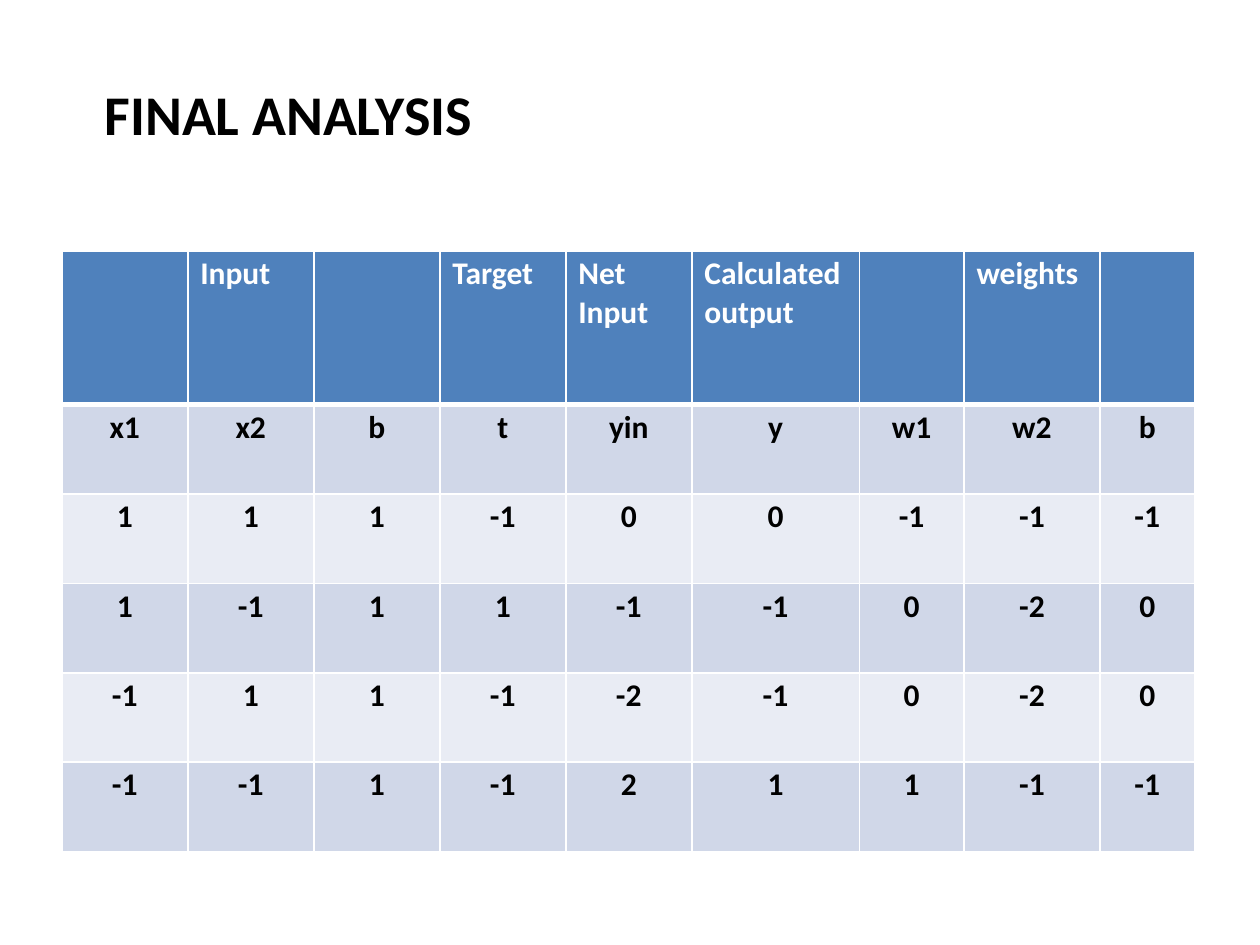
from lxml.etree import SubElement as Sub
from pptx import Presentation
from pptx.dml.color import RGBColor as RGB
from pptx.enum.text import MSO_ANCHOR as Anchor, PP_ALIGN as Align
from pptx.oxml.ns import qn
from pptx.util import Inches, Pt

BLACK = RGB(0x00, 0x00, 0x00)
WHITE = RGB(0xFF, 0xFF, 0xFF)
BLUE = RGB(0x4F, 0x81, 0xBC)
DARK = RGB(0xD0, 0xD7, 0xE8)
LIGHT = RGB(0xE9, 0xEC, 0xF4)

WIDTHS = [1, 1, 1, 1, 1, 1.33, 0.83, 1.08, 0.75]
HEIGHTS = [1.22] + [0.71] * 5
HEAD = ["", "Input", "", "Target", "Net\nInput", "Calculated\noutput", "", "weights", ""]
BODY = [
    ["x1", "x2", "b", "t", "yin", "y", "w1", "w2", "b"],
    [1, 1, 1, -1, 0, 0, -1, -1, -1],
    [1, -1, 1, 1, -1, -1, 0, -2, 0],
    [-1, 1, 1, -1, -2, -1, 0, -2, 0],
    [-1, -1, 1, -1, 2, 1, 1, -1, -1],
]


class Deck:
    """Holds the text style and the current slide, and adds elements to it."""

    def __init__(self, font):
        self.font = font
        self.prs = Presentation()
        self.prs.slide_width, self.prs.slide_height = Inches(10), Inches(7.5)
        self.slide = self.prs.slides.add_slide(self.prs.slide_layouts[5])

    def style(self, par, size, color, align, before):
        par.alignment, par.space_before = align, Pt(before)
        font = par.font
        font.name, font.size, font.bold = self.font, Pt(size), True
        font.color.rgb = color

    def title(self, text, left, top, width, height):
        box = self.slide.shapes.title
        box.left, box.top = Inches(left), Inches(top)
        box.width, box.height = Inches(width), Inches(height)
        frame = box.text_frame
        frame.text = text
        frame.vertical_anchor = Anchor.TOP
        frame.margin_left = frame.margin_right = frame.margin_bottom = 0
        frame.margin_top = Inches(0.01)
        self.style(frame.paragraphs[0], 32, BLACK, Align.LEFT, 1.1)

    def border(self, cell, **lines):
        props = cell._tc.get_or_add_tcPr()
        for side in "LRTB":
            line = Sub(props, qn("a:ln" + side), w=str(Pt(lines.get(side, 1))))
            fill = Sub(line, qn("a:solidFill"))
            Sub(fill, qn("a:srgbClr"), val=str(WHITE))

    def cell(self, cell, text, fill, color, align, inset, **lines):
        self.border(cell, **lines)
        cell.fill.solid()
        cell.fill.fore_color.rgb = fill
        cell.margin_left, cell.margin_right = Inches(inset), 0
        cell.margin_top, cell.margin_bottom = Inches(0.03), 0
        cell.text = str(text)
        for i, par in enumerate(cell.text_frame.paragraphs):
            self.style(par, 18, color, align, 0.1 if i else 2.5)

    def table(self, left, top, head, body, widths, heights):
        grid = self.slide.shapes.add_table(
            len(heights), len(widths), Inches(left), Inches(top),
            Inches(sum(widths)), Inches(sum(heights))).table
        for col, width in zip(grid.columns, widths):
            col.width = Inches(width)
        for row, height in zip(grid.rows, heights):
            row.height = Inches(height)
        for c, text in enumerate(head):
            self.cell(grid.cell(0, c), text, BLUE, WHITE, Align.LEFT, 0.1, B=3)
        for r, row in enumerate(body, 1):
            fill = DARK if r % 2 else LIGHT
            for c, text in enumerate(row):
                self.cell(grid.cell(r, c), text, fill, BLACK, Align.CENTER, 0,
                          T=3 if r == 1 else 1)


def main():
    deck = Deck("Calibri")
    deck.title("FINAL ANALYSIS", 0.83, 0.62, 5.64, 0.56)
    deck.table(0.49, 1.99, HEAD, BODY, WIDTHS, HEIGHTS)
    deck.prs.save("out.pptx")


if __name__ == "__main__":
    main()
